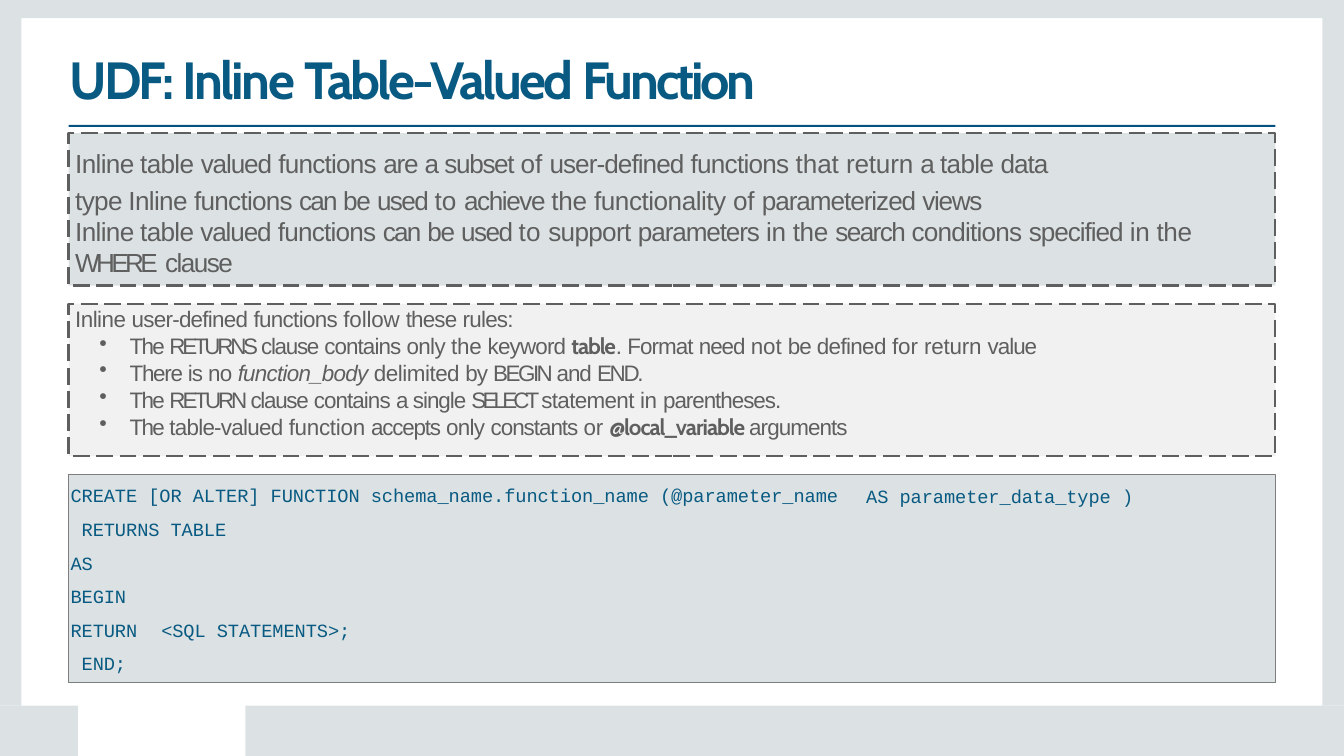
"""Build the slide on inline table-valued user-defined functions."""
from lxml.etree import SubElement
from pptx import Presentation
from pptx.dml.color import RGBColor
from pptx.enum.dml import MSO_LINE_DASH_STYLE as DASH
from pptx.enum.shapes import MSO_SHAPE as SHAPE
from pptx.enum.text import MSO_ANCHOR as ANCHOR, MSO_AUTO_SIZE as FIT, PP_ALIGN as ALIGN
from pptx.oxml.ns import qn
from pptx.util import Inches, Pt

COLORS = {"frame": "DCE2E3", "rule": "055180", "heading": "095A82", "body": "5F5F5F",
          "pale": "F1F1F1", "code_edge": "7E7E7E"}
LEFT, WIDTH = 1.02, 17.96
BOLD = {"name": "Cabin", "bold": True}
ITALIC = {"italic": True}


def add_panel(box, fill, edge=None, weight=1, dash=None):
    panel = slide.shapes.add_shape(SHAPE.RECTANGLE, *map(Inches, box))
    panel.shadow.inherit = False
    panel.fill.solid()
    panel.fill.fore_color.rgb = RGBColor.from_string(COLORS[fill])
    if edge:
        panel.line.color.rgb = RGBColor.from_string(COLORS[edge])
        panel.line.width = Pt(weight)
        panel.line.dash_style = dash
    else:
        panel.line.fill.background()


def write(holder, box, font, color, paragraphs):
    holder.left, holder.top, holder.width, holder.height = map(Inches, box)
    frame = holder.text_frame
    frame_format = {"word_wrap": True, "auto_size": FIT.NONE, "vertical_anchor": ANCHOR.TOP,
                    "margin_left": Inches(0.01), "margin_top": Inches(0.01),
                    "margin_right": 0, "margin_bottom": 0}
    for name, value in frame_format.items():
        setattr(frame, name, value)
    for number, (size, layout, pieces) in enumerate(paragraphs):
        paragraph = frame.add_paragraph() if number else frame.paragraphs[0]
        for name, value in {"alignment": ALIGN.LEFT, "space_before": Pt(0), **layout}.items():
            setattr(paragraph, name, value)
        for words, spacing, *style in pieces:
            if words == "\n":
                paragraph.add_line_break()
                continue
            run = paragraph.add_run()
            run.text = words
            look = {"name": font, "size": Pt(size), "bold": False, **(style[0] if style else {})}
            for name, value in look.items():
                setattr(run.font, name, value)
            run.font.color.rgb = RGBColor.from_string(COLORS[color])
            run._r.get_or_add_rPr().set("spc", str(round(spacing * 100)))


deck = Presentation()
deck.slide_width, deck.slide_height = Inches(20), Inches(11.25)
slide = deck.slides.add_slide(deck.slide_layouts[5])

for border in [(19.68, 0.27, 0.32, 10.23), (0, 0.27, 0.32, 10.23), (3.65, 10.5, 16.35, 0.75),
               (0, 10.5, 1.16, 0.75), (0, 0, 20, 0.27)]:
    add_panel(border, "frame")
add_panel((LEFT, 1.86, WIDTH, 0.03), "rule")
add_panel((LEFT, 7.06, WIDTH, 3.1), "frame", "code_edge", 0.96)
for top, fill in [(1.98, "frame"), (4.52, "pale")]:
    add_panel((LEFT, top, WIDTH, 2.27), fill, "body", 2.28, DASH.LONG_DASH)

heading = [("UDF: ", -3.5), ("Inline ", -2.8), ("Table-Valued ", -3.1), ("Function", -3.5)]
write(slide.shapes.title, (1.03, 0.7, 11.02, 0.96), "Cabin", "heading",
      [(56, {"space_before": Pt(1.1), "line_spacing": 1.0},
        [(words, spacing, BOLD) for words, spacing in heading])])

parameter_type = slide.shapes.add_textbox(0, 0, 0, 0)
write(parameter_type, (12.88, 7.2, 4.03, 0.36), "Courier New", "heading",
      [(20, {"space_before": Pt(1.1)}, [("AS parameter_data_type ", -0.1), (")", 0)])])

syntax = slide.shapes.add_textbox(0, 0, 0, 0)
write(syntax, (1.04, 7.03, 11.53, 3.03), "Courier New", "heading", [
    (20, {"line_spacing": 1.5, "space_before": Pt(1)},
     [("CREATE [OR ALTER] FUNCTION schema_name.function_name (@parameter_name", -0.1),
      ("\n", 0), (" RETURNS TABLE", -0.1)]),
    (20, {"space_before": Pt(12)}, [("AS", -0.1)]),
    (20, {"space_before": Pt(12)}, [("BEGIN", -0.1)]),
    (20, {"line_spacing": 1.5},
     [("RETURN\t<SQL STATEMENTS>;", -0.1), ("\n", 0), (" END;", -0.1)]),
])
return_tabs = SubElement(syntax.text_frame.paragraphs[-1]._p.get_or_add_pPr(), qn("a:tabLst"))
SubElement(return_tabs, qn("a:tab"), pos=str(Inches(1.35)), algn="l")

description = [
    (28, {"line_spacing": 1.15, "space_before": Pt(1)},
     [("Inline table ", -0.7), ("valued ", -1.2), ("functions ", -0.8), ("are ", -1.3),
      ("a ", -2.2), ("subset ", -1.4), ("of ", -0.1), ("user-defined ", -1),
      ("functions ", -0.8), ("that ", -0.1), ("return ", -0.2), ("a ", -2.2),
      ("table ", -0.7), ("data", -1.1), ("\n", 0), ("type ", -0.7), ("Inline ", -0.7),
      ("functions ", -0.8), ("can ", -1.9), ("be ", -1.3), ("used ", -1.7), ("to ", 0.2),
      ("achieve ", -1.5), ("the ", -0.3), ("functionality ", -0.5), ("of ", -0.1),
      ("parameterized ", -1.1), ("views", -1.4)]),
    (28, {},
     [("Inline table", -0.7), (" valued ", -1.2), ("functions ", -0.8), ("can", -1.9),
      (" be ", -1.3), ("used ", -1.7), ("to ", 0.2), ("support ", -0.7),
      ("parameters ", -1.2), ("in the ", -0.3), ("search ", -1.7), ("conditions ", -0.8),
      ("specified ", -1.1), ("in the ", -0.3), ("WHERE", -3.9), (" ", 0), ("clause", -1.6)]),
    (24, {"space_before": Pt(29.4)},
     [("Inline ", -0.6), ("user-defined ", -0.8), ("functions ", -0.7), ("follow ", -0.2),
      ("these ", -0.9), ("rules:", -0.8)]),
]
rules = [
    [("The ", -1.8), ("RETURNS ", -3.5), ("clause ", -1.4), ("contains ", -1), ("only ", -0.7),
     ("the ", -0.3), ("keyword ", -0.9), ("table", -1.2, BOLD), (". ", -1.2), ("Format ", -1),
     ("need ", -1.1), ("not ", -0.1), ("be ", -1.1), ("defined ", -0.7), ("for ", -0.1),
     ("return ", -0.2), ("value", -1.1)],
    [("There ", -1.4), ("is ", -1.2), ("no ", -0.8), ("function_body ", -0.8, ITALIC),
     ("delimited ", -0.5), ("by ", -1.1), ("BEGIN ", -2.7), ("and ", -1.1), ("END.", -2.5)],
    [("The ", -1.8), ("RETURN ", -3.3), ("clause ", -1.4), ("contains ", -1), ("a ", -1.9),
     ("single ", -1.1), ("SELECT ", -4.1), ("statement ", -0.7), ("in ", -0.3),
     ("parentheses.", -1.1)],
    [("The ", -1.8), ("table-valued ", -0.8), ("function ", -0.3), ("accepts ", -1.3),
     ("only ", -0.7), ("constants ", -1.1), ("or ", -0.2), ("@local_variable ", -1.1, BOLD),
     ("arguments", -1)],
]
explanation = slide.shapes.add_textbox(0, 0, 0, 0)
write(explanation, (1.11, 2.12, 17.71, 4.45), "Arial", "body",
      description + [(24, {}, rule) for rule in rules])
for rule in explanation.text_frame.paragraphs[len(description):]:
    properties = rule._p.get_or_add_pPr()
    properties.set("marL", str(Inches(0.81)))
    properties.set("indent", str(Inches(-0.45)))
    SubElement(properties, qn("a:buChar"), char="•")

deck.save("out.pptx")
